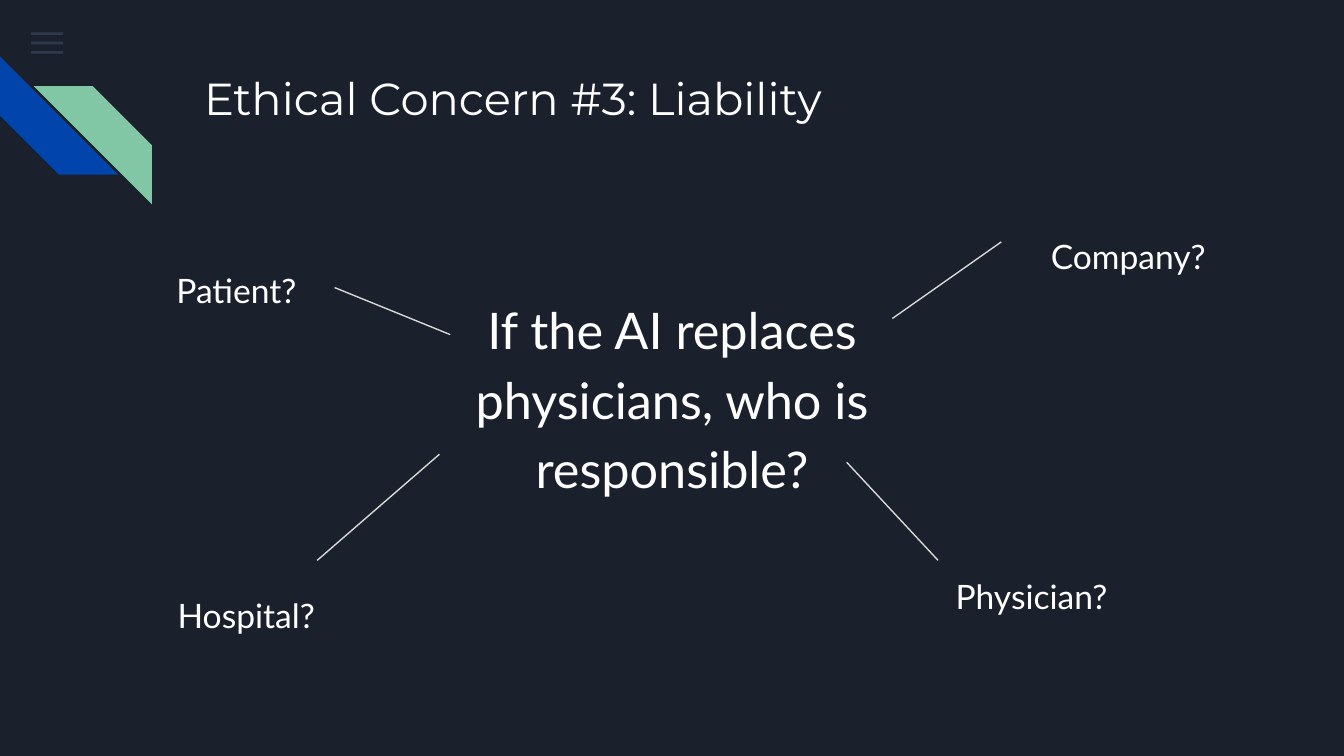
from dataclasses import dataclass

from lxml import etree
from pptx import Presentation
from pptx.dml.color import RGBColor
from pptx.enum.shapes import MSO_CONNECTOR, MSO_SHAPE
from pptx.enum.text import MSO_ANCHOR, PP_ALIGN
from pptx.oxml.ns import qn
from pptx.util import Inches, Pt

RECT = MSO_SHAPE.RECTANGLE
STRIPE = MSO_SHAPE.DIAGONAL_STRIPE
STRAIGHT = MSO_CONNECTOR.STRAIGHT
TOP, MIDDLE = MSO_ANCHOR.TOP, MSO_ANCHOR.MIDDLE
LEFT, CENTER = PP_ALIGN.LEFT, PP_ALIGN.CENTER

NAVY = RGBColor(0x1B, 0x21, 0x2C)
SLATE = RGBColor(0x55, 0x68, 0x8B)
BLUE = RGBColor(0x01, 0x45, 0xAC)
GREEN = RGBColor(0x82, 0xC7, 0xA5)
WHITE = RGBColor(0xFF, 0xFF, 0xFF)
GREY = RGBColor(0xD9, 0xD9, 0xD9)


@dataclass
class Shape:
    kind: int
    left: float
    top: float
    width: float
    height: float
    color: RGBColor
    rotation: int = 0
    opacity: int = 100


@dataclass
class Label:
    text: str
    left: float
    top: float
    width: float
    height: float
    size: int = 18
    font: str = "Lato"
    align: int = CENTER
    anchor: int = MIDDLE
    line_spacing: float = 1.15
    space_after: int = 16


@dataclass
class Spoke:
    x1: float
    y1: float
    x2: float
    y2: float


MENU_BARS = [
    Shape(RECT, 0.23, 0.24 + 0.07 * i, 0.24, 0.02, SLATE, opacity=36)
    for i in range(3)
]
STRIPES = [
    Shape(STRIPE, 0, 0.42, 0.88, 0.88, BLUE, rotation=270),
    Shape(STRIPE, 0.25, 0.64, 0.88, 0.88, GREEN, rotation=90),
]
LABELS = [
    Label("Ethical Concern #3: Liability", 1.42, 0.43, 5.6, 1.63, 24,
          "Montserrat", LEFT, TOP, 1.0, 0),
    Label("If the AI replaces physicians, who is responsible?",
          3.27, 2.06, 3.46, 2.64, 27, anchor=TOP),
    Label("Hospital? ", 0.96, 4.16, 1.81, 0.79),
    Label("Physician?", 6.3, 3.68, 2.75, 1.47),
    Label("Company?", 7.02, 1.15, 2.75, 1.47),
    Label("Patient?", 1.03, 1.83, 1.46, 0.61),
]
SPOKES = [
    Spoke(3.27, 3.38, 2.36, 4.17),
    Spoke(3.35, 2.49, 2.49, 2.14),
    Spoke(7.45, 1.8, 6.64, 2.37),
    Spoke(6.98, 4.17, 6.3, 3.44),
]


def draw_shape(s, shape: Shape) -> None:
    sp = s.shapes.add_shape(shape.kind, Inches(shape.left), Inches(shape.top),
                            Inches(shape.width), Inches(shape.height))
    sp.shadow.inherit = False
    sp.rotation = shape.rotation
    sp.fill.solid()
    sp.fill.fore_color.rgb = shape.color
    sp.line.fill.background()
    if shape.opacity < 100:
        color = sp._element.spPr.find(qn("a:solidFill"))[0]
        etree.SubElement(color, qn("a:alpha"), val=str(shape.opacity * 1000))


def draw_label(s, label: Label) -> None:
    sp = s.shapes.add_textbox(Inches(label.left), Inches(label.top),
                              Inches(label.width), Inches(label.height))
    tf = sp.text_frame
    tf.word_wrap = True
    tf.vertical_anchor = label.anchor
    tf.margin_left = tf.margin_right = Inches(0.1)
    tf.margin_top = tf.margin_bottom = Inches(0.1)
    p = tf.paragraphs[0]
    p.alignment = label.align
    p.line_spacing = label.line_spacing
    p.space_after = Pt(label.space_after)
    r = p.add_run()
    r.text = label.text
    r.font.size = Pt(label.size)
    r.font.name = label.font
    r.font.color.rgb = WHITE


def draw_spoke(s, spoke: Spoke) -> None:
    line = s.shapes.add_connector(STRAIGHT, Inches(spoke.x1), Inches(spoke.y1),
                                  Inches(spoke.x2), Inches(spoke.y2))
    line.line.color.rgb = GREY
    line.line.width = Pt(0.75)
    etree.SubElement(line._element.spPr, qn("a:effectLst"))


def main() -> None:
    prs = Presentation()
    prs.slide_width = Inches(10)
    prs.slide_height = Inches(10 * 9 / 16)
    s = prs.slides.add_slide(prs.slide_layouts[6])
    s.background.fill.solid()
    s.background.fill.fore_color.rgb = NAVY
    for shape in MENU_BARS + STRIPES:
        draw_shape(s, shape)
    for label in LABELS:
        draw_label(s, label)
    for spoke in SPOKES:
        draw_spoke(s, spoke)
    prs.save("out.pptx")


if __name__ == "__main__":
    main()
